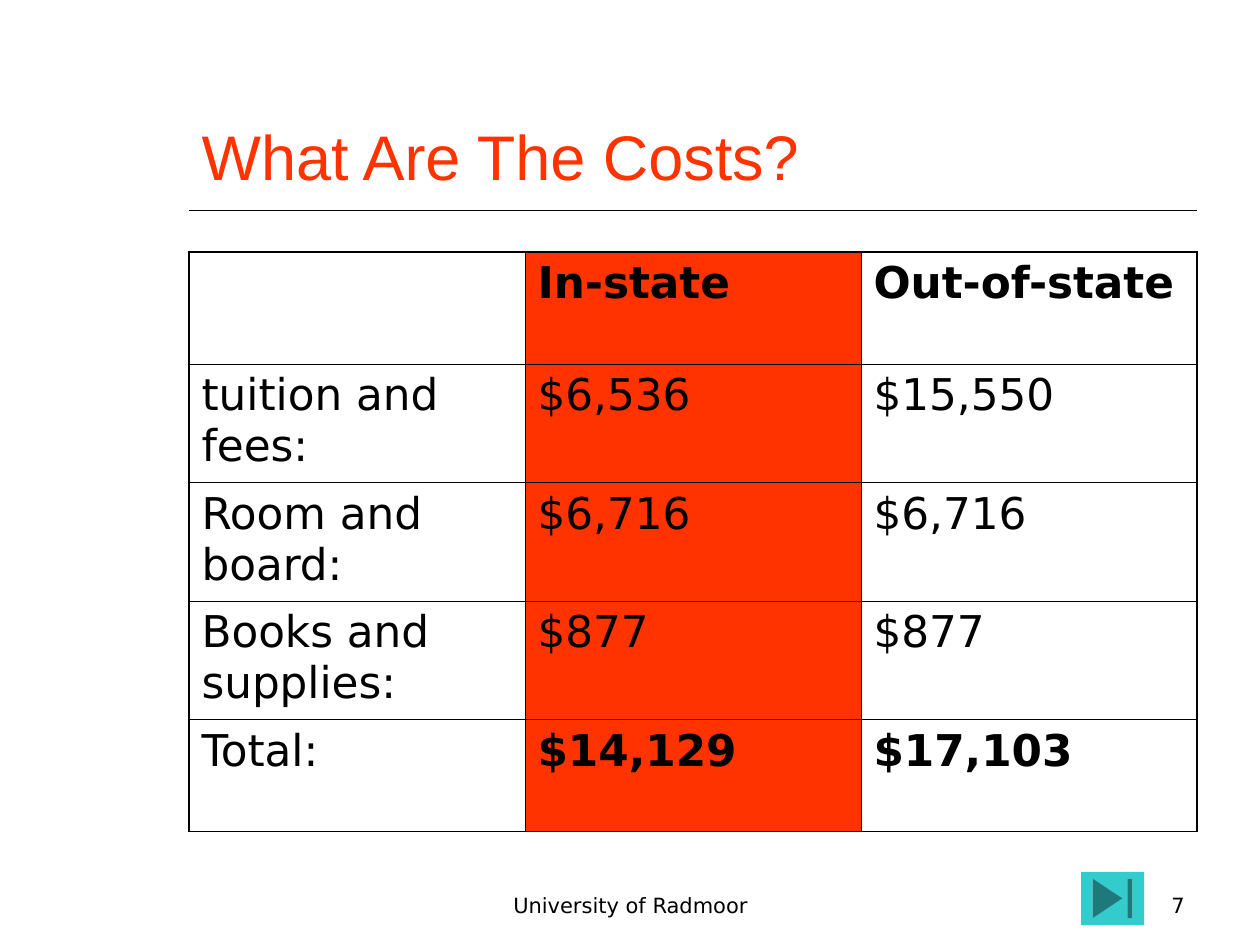
from lxml import etree
from pptx import Presentation
from pptx.dml.color import RGBColor
from pptx.enum import shapes, text
from pptx.oxml import ns
from pptx.util import Inches, Pt

RED, BLACK, TEAL = "FF3300", "000000", "33CCCC"
BODY_FONT = "DejaVu Sans"
THIN, THICK = 0.45, 1.08
COSTS = [
    ["", "In-state", "Out-of-state"],
    ["tuition and fees:", "$6,536", "$15,550"],
    ["Room and board:", "$6,716", "$6,716"],
    ["Books and supplies:", "$877", "$877"],
    ["Total:", "$14,129", "$17,103"],
]
ROW_HEIGHTS = [0.89, 0.94, 0.94, 0.94, 0.89]


def rgb(value):
    return RGBColor.from_string(value)


def style(p, size, color=BLACK, name=BODY_FONT, bold=False):
    p.font.size = Pt(size)
    p.font.name = name
    p.font.bold = bold
    p.font.color.rgb = rgb(color)


def add_title(slide, left, top, width, height):
    """Place the title and the rule beneath it."""
    sp = slide.shapes.title
    sp.left, sp.top, sp.width, sp.height = map(Inches, (left, top, width, height))
    tf = sp.text_frame
    tf.text = "What Are The Costs?"
    tf.vertical_anchor = text.MSO_ANCHOR.BOTTOM
    p = tf.paragraphs[0]
    p.alignment = text.PP_ALIGN.LEFT
    style(p, 36, RED, "Arial")

    y = Inches(top + height + 0.09)
    rule = slide.shapes.add_connector(
        shapes.MSO_CONNECTOR.STRAIGHT, Inches(left), y, Inches(left + width), y)
    rule.line.color.rgb = rgb(BLACK)
    rule.line.width = Pt(1)
    etree.SubElement(rule._element.spPr, ns.qn("a:effectLst"))


def set_borders(cell, widths):
    """Draw the cell's edges; widths maps L, R, T and B to points."""
    tcPr = cell._tc.get_or_add_tcPr()
    for side, width in widths.items():
        ln = etree.SubElement(tcPr, ns.qn("a:ln" + side), w=str(Pt(width)))
        fill = etree.SubElement(ln, ns.qn("a:solidFill"))
        etree.SubElement(fill, ns.qn("a:srgbClr"), val=BLACK)


def add_cost_table(slide, left, top, width):
    n_rows, n_cols = len(COSTS), len(COSTS[0])
    table = slide.shapes.add_table(
        n_rows, n_cols, Inches(left), Inches(top),
        Inches(width), Inches(sum(ROW_HEIGHTS))).table
    table.horz_banding = table.first_row = False
    for column in table.columns:
        column.width = Inches(width / n_cols)
    for r, (height, values) in enumerate(zip(ROW_HEIGHTS, COSTS)):
        table.rows[r].height = Inches(height)
        for c, value in enumerate(values):
            cell = table.cell(r, c)
            outer = {"L": c == 0, "R": c == n_cols - 1,
                     "T": r == 0, "B": r == n_rows - 1}
            set_borders(cell, {side: THICK if edge else THIN
                               for side, edge in outer.items()})
            if c == 1:
                cell.fill.solid()
                cell.fill.fore_color.rgb = rgb(RED)
            else:
                cell.fill.background()
            cell.text = value
            p = cell.text_frame.paragraphs[0]
            p.space_before = Pt(6.2)
            style(p, 25, bold=c > 0 and r in (0, n_rows - 1))


def add_footer_text(slide, value, align, left, top, width, height):
    sp = slide.shapes.add_textbox(*map(Inches, (left, top, width, height)))
    tf = sp.text_frame
    tf.word_wrap = True
    tf.vertical_anchor = text.MSO_ANCHOR.BOTTOM
    tf.text = value
    p = tf.paragraphs[0]
    p.alignment = align
    style(p, 12)


def add_footer(slide, top, height):
    button = slide.shapes.add_shape(
        shapes.MSO_SHAPE.ACTION_BUTTON_END, Inches(8.58), Inches(top + 0.09),
        Inches(0.5), Inches(0.42))
    button.shadow.inherit = False
    button.fill.solid()
    button.fill.fore_color.rgb = rgb(TEAL)
    button.line.fill.background()
    add_footer_text(slide, "University of Radmoor", text.PP_ALIGN.CENTER,
                    3.42, top, 3.17, height)
    add_footer_text(slide, "7", text.PP_ALIGN.RIGHT, 7.17, top, 2.33, height)


def main():
    prs = Presentation()
    prs.slide_width, prs.slide_height = Inches(10), Inches(7.5)
    slide = prs.slides.add_slide(prs.slide_layouts.get_by_name("Title Only"))
    add_title(slide, 1.5, 0.33, 8, 1.25)
    add_cost_table(slide, 1.5, 2, 8)
    add_footer(slide, 6.83, 0.5)
    prs.save("out.pptx")


if __name__ == "__main__":
    main()
